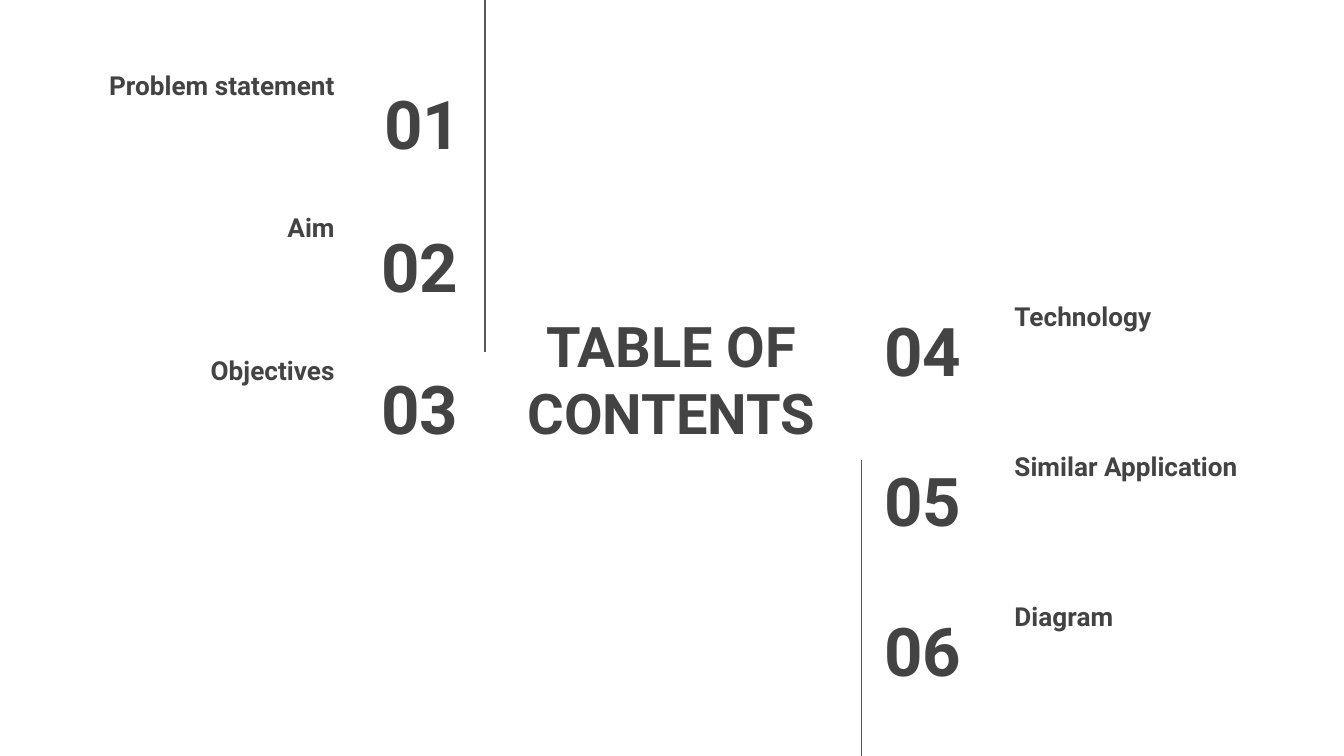
from lxml.etree import SubElement
from pptx import Presentation
from pptx.dml.color import RGBColor
from pptx.enum.shapes import MSO_CONNECTOR
from pptx.enum.text import MSO_ANCHOR, MSO_AUTO_SIZE, PP_ALIGN
from pptx.oxml.ns import qn
from pptx.util import Inches, Pt

COLORS = {"text": "434343", "line": "595959", "back": "FFFFFF"}
FONT = "Roboto"


def style(shape, text, size, align, anchor):
    frame = shape.text_frame
    frame.text = text
    frame.word_wrap = True
    frame.auto_size = MSO_AUTO_SIZE.NONE
    frame.vertical_anchor = anchor
    frame.margin_left = frame.margin_right = Inches(0.1)
    frame.margin_top = frame.margin_bottom = Inches(0.1)
    para = frame.paragraphs[0]
    para.alignment = align
    para.line_spacing = 1.0
    font = para.runs[0].font
    font.name = FONT
    font.size = Pt(size)
    font.bold = True
    font.color.rgb = RGBColor.from_string(COLORS["text"])


deck = Presentation()
deck.slide_width = Inches(10)
deck.slide_height = Inches(10) * 9 // 16
slide = deck.slides.add_slide(deck.slide_layouts[5])
slide.background.fill.solid()
slide.background.fill.fore_color.rgb = RGBColor.from_string(COLORS["back"])

title = slide.shapes.title
title.left, title.top = Inches(3.7), Inches(2.3)
title.width, title.height = Inches(2.59), Inches(1.03)
style(title, "TABLE OF CONTENTS", 30, PP_ALIGN.CENTER, MSO_ANCHOR.MIDDLE)

left = ["Problem statement", "Aim", "Objectives"]
right = ["Technology", "Similar Application", "Diagram"]
sides = [
    (left, 1, 0.43, 0.22, 2.3, 0.6, 1.21, 2.12, PP_ALIGN.RIGHT),
    (right, 4, 7.45, 1.94, 6.48, 2.29, 1.17, 2.23, PP_ALIGN.LEFT),
]
for names, first, name_x, name_y, num_x, num_y, num_w, span, align in sides:
    for row, name in enumerate(names):
        drop = span * row / (len(names) - 1)
        box = slide.shapes.add_textbox(
            Inches(name_x), Inches(name_y + drop), Inches(2.16), Inches(0.63))
        style(box, name, 14, align, MSO_ANCHOR.BOTTOM)
        box = slide.shapes.add_textbox(
            Inches(num_x), Inches(num_y + drop), Inches(num_w), Inches(0.63))
        style(box, f"{first + row:02d}", 36, align, MSO_ANCHOR.MIDDLE)
        if first + row == 1:
            box.left = Inches(2.32)

for x, top, end in [(3.61, 0, Inches(2.62)), (6.41, 3.42, deck.slide_height)]:
    line = slide.shapes.add_connector(
        MSO_CONNECTOR.STRAIGHT, Inches(x), Inches(top), Inches(x), end)
    line.line.color.rgb = RGBColor.from_string(COLORS["line"])
    line.line.width = Pt(0.75)
    SubElement(line._element.spPr, qn("a:effectLst"))

deck.save("out.pptx")
